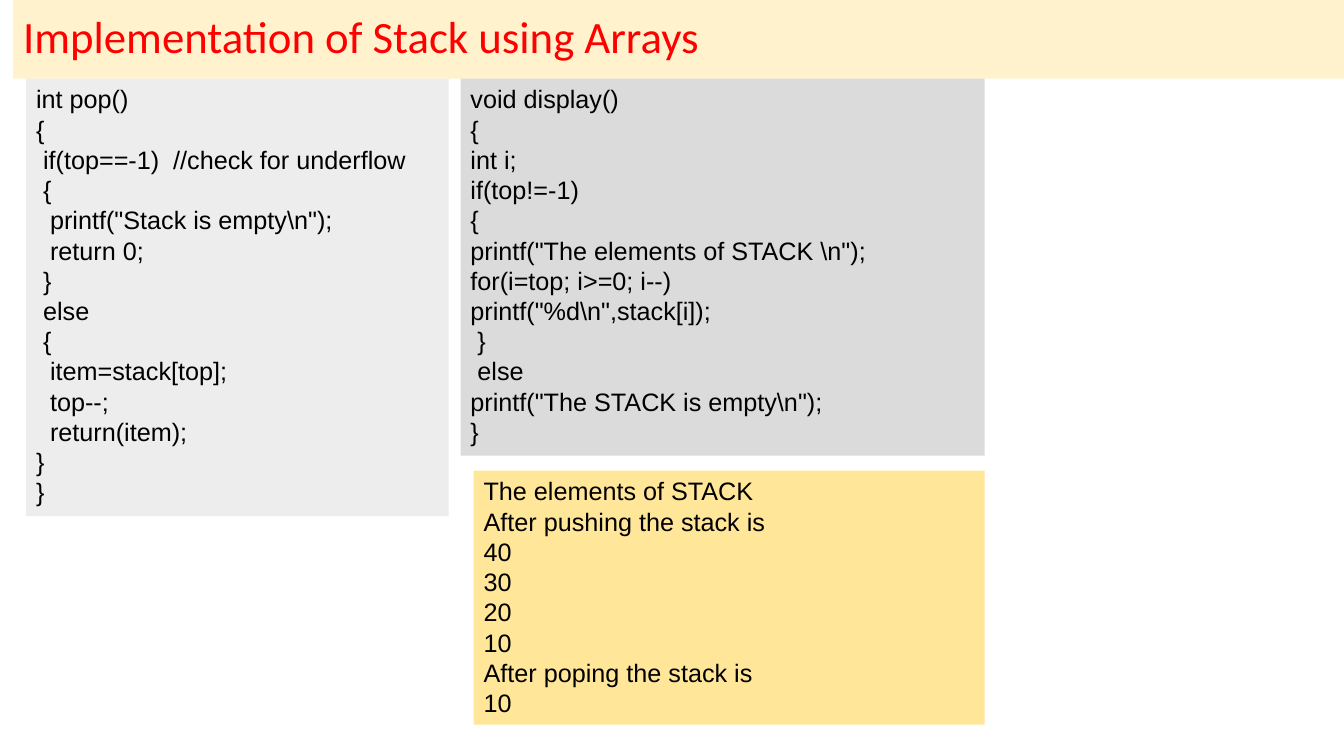
from pptx import Presentation
from pptx.dml.color import RGBColor
from pptx.enum.shapes import MSO_SHAPE as Shape
from pptx.enum.text import MSO_ANCHOR as Anchor, PP_ALIGN as Align
from pptx.util import Pt

POP_CODE = r"""int pop()
{
 if(top==-1)  //check for underflow
 {
  printf("Stack is empty\n");
  return 0;
 }
 else
 {
  item=stack[top];
  top--;
  return(item);
}
}"""

DISPLAY_CODE = r"""void display()
{
int i;
if(top!=-1)
{
printf("The elements of STACK \n");
for(i=top; i>=0; i--)
printf("%d\n",stack[i]);
 }
 else
printf("The STACK is empty\n");
}"""

PROGRAM_OUTPUT = """The elements of STACK
After pushing the stack is
40
30
20
10
After poping the stack is
10"""


def rgb(hex_color):
    return RGBColor.from_string(hex_color)


def add_panel(text, *, box, fill, font="Arial", size=18, color="000000",
              anchor=Anchor.TOP, spacing=Pt(21.6)):
    """Add a filled rectangle with one paragraph per line of text."""
    panel = slide.shapes.add_shape(Shape.RECTANGLE, *map(Pt, box))
    panel.shadow.inherit = False
    panel.fill.solid()
    panel.fill.fore_color.rgb = rgb(fill)
    panel.line.fill.background()
    frame = panel.text_frame
    frame.word_wrap = True
    frame.vertical_anchor = anchor
    frame.text = text
    for paragraph in frame.paragraphs:
        paragraph.alignment = Align.LEFT
        paragraph.line_spacing = spacing
        paragraph.font.name = font
        paragraph.font.size = Pt(size)
        paragraph.font.color.rgb = rgb(color)


deck = Presentation()
deck.slide_width, deck.slide_height = Pt(960), Pt(540)
slide = deck.slides.add_slide(deck.slide_layouts[6])

add_panel("Implementation of Stack using Arrays", box=(9.4, 0, 950.6, 56.2),
          fill="FFF2CC", font="Calibri", size=32, color="FF0000",
          anchor=Anchor.MIDDLE, spacing=0.9)

add_panel(POP_CODE, box=(18.7, 56.2, 301.7, 312.5), fill="EDEDED")
add_panel(DISPLAY_CODE, box=(329, 56.2, 374.4, 269.3), fill="DBDBDB")
add_panel(PROGRAM_OUTPUT, box=(338.4, 336.2, 365, 181.4), fill="FFE699")

deck.save("out.pptx")
